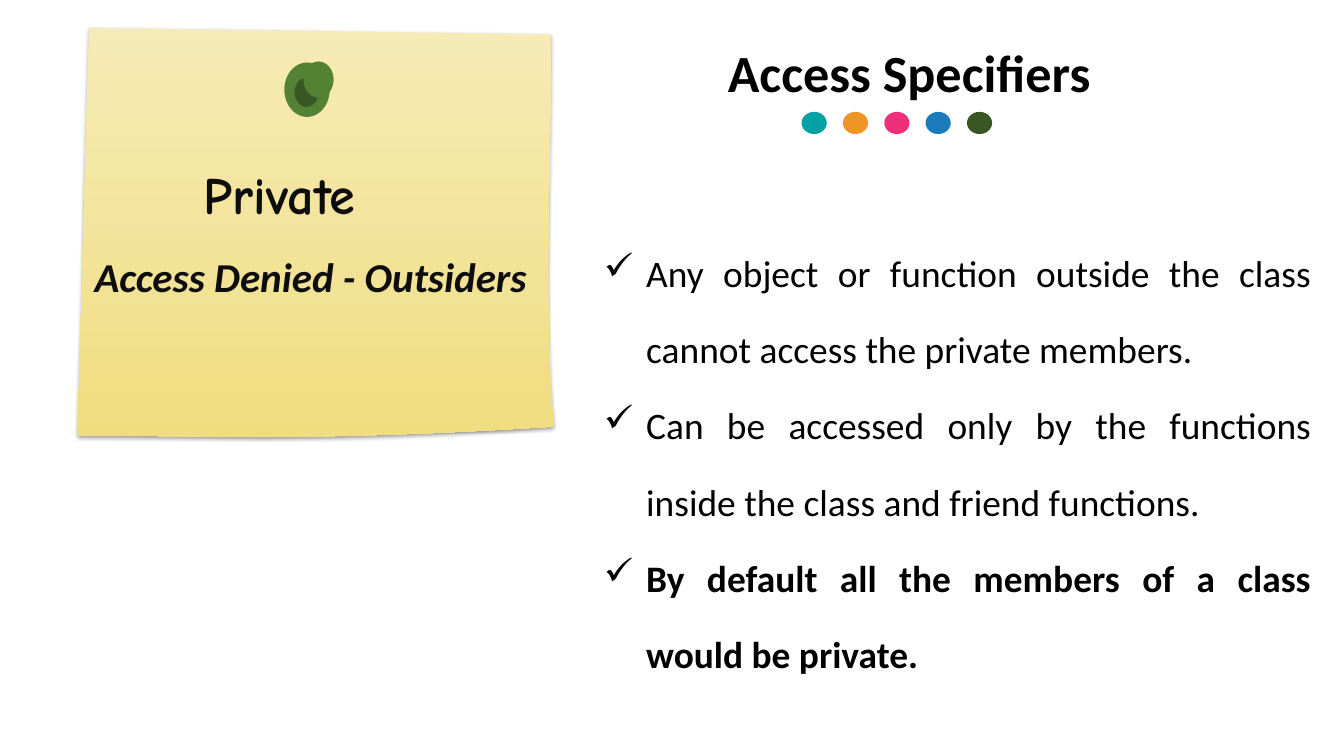
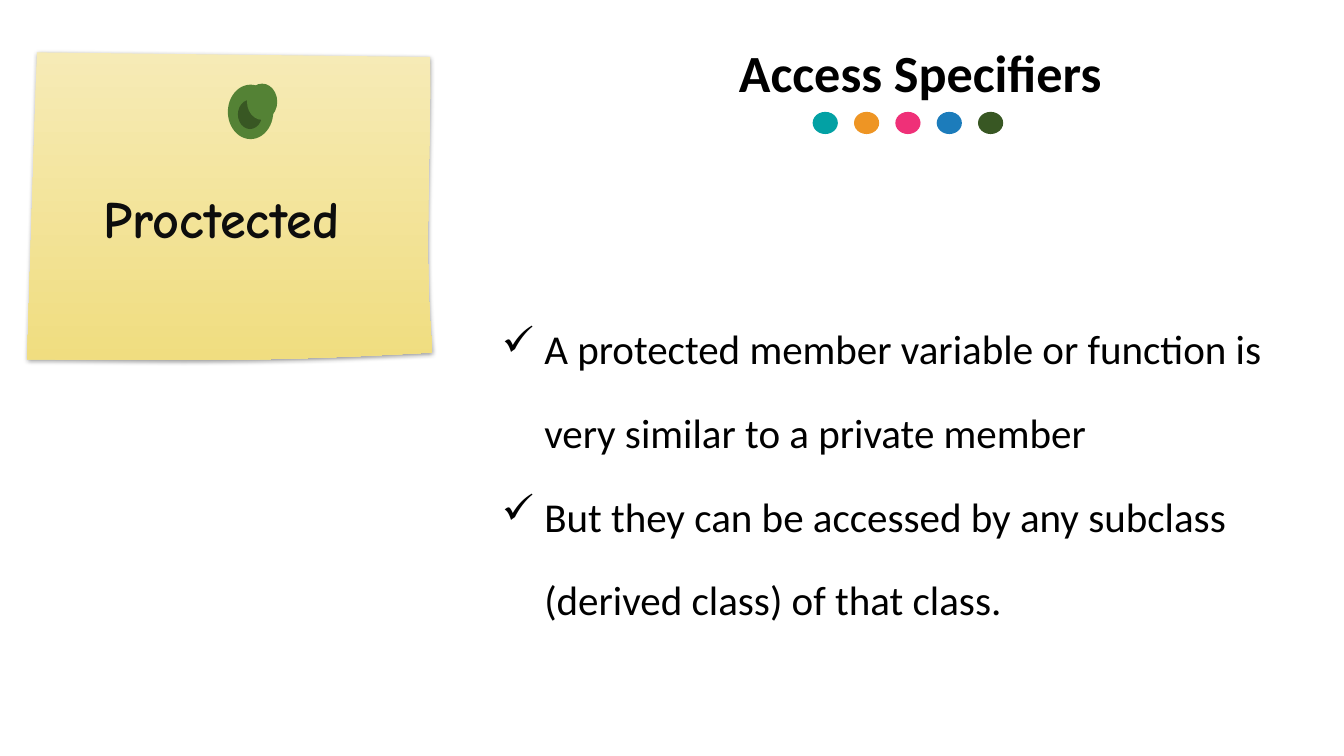
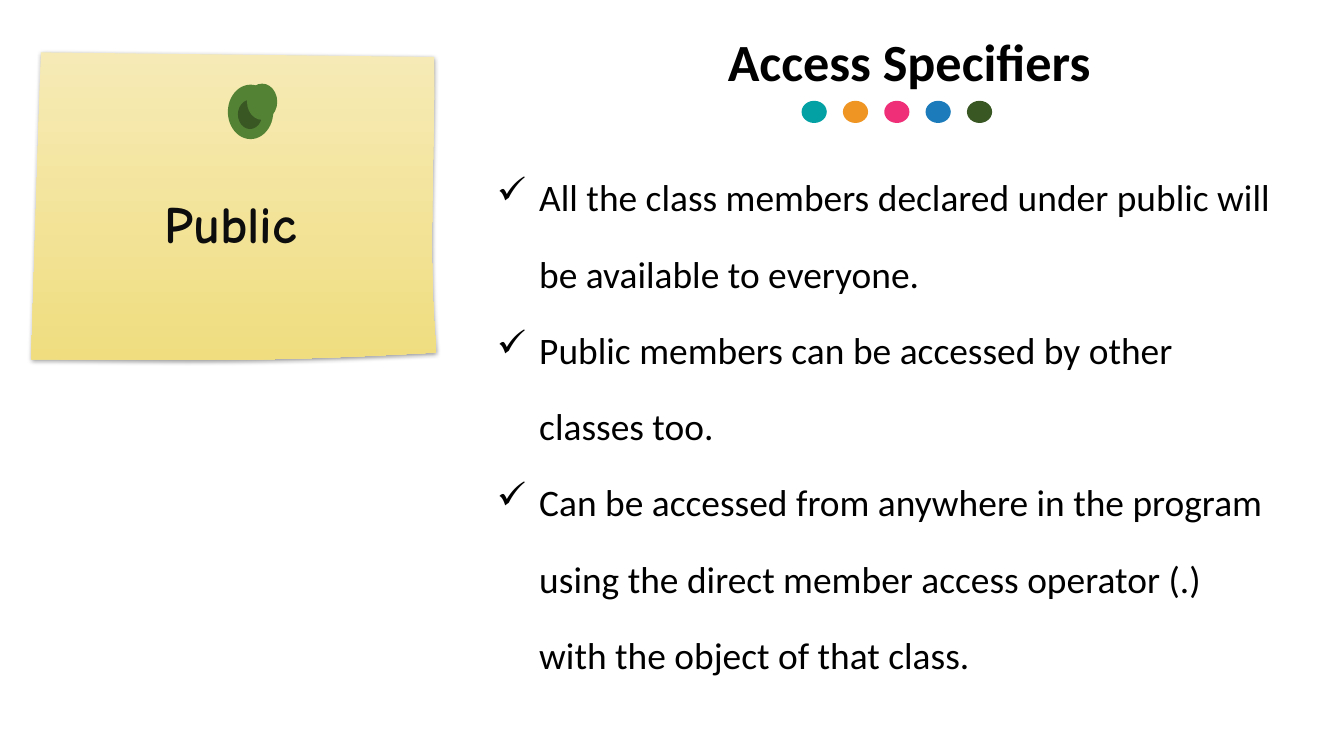
from lxml import etree
from pptx import Presentation
from pptx import util as u
from pptx.dml.color import RGBColor
from pptx.enum import shapes, text
from pptx.oxml.ns import qn

# Shared look
COLORS = {
    "black": "000000", "ink": "0D0D0D",
    "note_top": "F6EBB6", "note_bottom": "F0DD80",
    "pin": "548235", "dark_green": "385723",
    "teal": "03A1A4", "orange": "EE9524", "pink": "EF3078", "blue": "1C7CBB",
}
DOT_COLORS = ["teal", "orange", "pink", "blue", "dark_green"]
BODY_FONT, NOTE_FONT = "Calibri", "Comic Neue"
TITLE_SIZE = 37.3
BULLET_INDENT = 0.42
CURVE_STEPS = 16

# Note outline in percent of its width and height
NOTE_CORNERS = [(2.4, 0), (99.4, 1.5)]
NOTE_CURVES = [
    [(99.4, 1.5), (99.6, 34), (97.7, 68), (100, 97.6)],
    [(100, 97.6), (50.5, 101.2), (33.3, 99.8), (0, 99.8)],
]


def rgb(name):
    return RGBColor.from_string(COLORS[name])


def curve_points(start, control_1, control_2, end):
    """Points along a cubic curve, without its start."""
    points = []
    for step in range(1, CURVE_STEPS + 1):
        t = step / CURVE_STEPS
        weights = ((1 - t) ** 3, 3 * t * (1 - t) ** 2, 3 * t * t * (1 - t), t ** 3)
        corners = (start, control_1, control_2, end)
        points.append(tuple(sum(w * corner[axis] for w, corner in zip(weights, corners))
                            for axis in (0, 1)))
    return points


def add_ellipse(container, left, top, width, height, color):
    shape = container.shapes.add_shape(
        shapes.MSO_SHAPE.OVAL, u.Inches(left), u.Inches(top),
        u.Inches(width), u.Inches(height))
    shape.shadow.inherit = False
    shape.fill.solid()
    shape.fill.fore_color.rgb = rgb(color)
    shape.line.fill.background()


def add_text_box(container, left, top, width, height, middle=False):
    shape = container.shapes.add_textbox(
        u.Inches(left), u.Inches(top), u.Inches(width), u.Inches(height))
    frame = shape.text_frame
    frame.word_wrap = True
    frame.auto_size = text.MSO_AUTO_SIZE.SHAPE_TO_FIT_TEXT
    if middle:
        frame.vertical_anchor = text.MSO_ANCHOR.MIDDLE
    return frame


def add_run(paragraph, words, size, font=BODY_FONT, color="black", bold=False, italic=False):
    run = paragraph.add_run()
    run.text = words
    run.font.name = font
    run.font.size = u.Pt(size)
    run.font.bold = bold
    run.font.italic = italic
    run.font.color.rgb = rgb(color)


def add_soft_shadow(shape):
    shape.shadow.inherit = False
    effects = shape._element.spPr.find(qn("a:effectLst"))
    shadow = etree.SubElement(
        effects, qn("a:outerShdw"), blurRad=str(u.Pt(3)), dist=str(u.Pt(1)),
        dir="5400000", algn="ctr", rotWithShape="0")
    color = etree.SubElement(shadow, qn("a:srgbClr"), val=COLORS["black"])
    etree.SubElement(color, qn("a:alpha"), val="40000")


def add_paper(container, left, top, width, height):
    outline = NOTE_CORNERS + [point for curve in NOTE_CURVES for point in curve_points(*curve)]
    points = [(u.Inches(left + width * x / 100), u.Inches(top + height * y / 100))
              for x, y in outline]
    builder = container.shapes.build_freeform(*points[0])
    builder.add_line_segments(points[1:], close=True)
    paper = builder.convert_to_shape()
    paper.fill.gradient()
    paper.fill.gradient_angle = 270
    for stop, position, color in zip(paper.fill.gradient_stops, (0, 1),
                                     ("note_top", "note_bottom")):
        stop.position = position
        stop.color.rgb = rgb(color)
    paper.line.fill.background()
    add_soft_shadow(paper)


def add_pin(container, left, top):
    add_ellipse(container, left, top, 0.45, 0.54, "pin")
    add_ellipse(container, left + 0.1, top + 0.15, 0.24, 0.29, "dark_green")
    add_ellipse(container, left + 0.19, top - 0.01, 0.3, 0.36, "pin")


def add_note(slide, paper, pin, label, label_box):
    group = slide.shapes.add_group_shape()
    add_paper(group, *paper)
    add_pin(group, *pin)
    frame = add_text_box(group, *label_box, middle=True)
    add_run(frame.paragraphs[0], label, TITLE_SIZE, NOTE_FONT, "ink", bold=True)


def add_title(slide, left, top):
    frame = add_text_box(slide, left, top, 5.3, 0.73)
    paragraph = frame.paragraphs[0]
    paragraph.alignment = text.PP_ALIGN.CENTER
    add_run(paragraph, "Access Specifiers", TITLE_SIZE, bold=True)
    # Row of dots under the title
    group = slide.shapes.add_group_shape()
    for index, color in enumerate(DOT_COLORS):
        add_ellipse(group, left + 1.58 + 0.41 * index, top + 0.76, 0.25, 0.22, color)


def add_checklist(slide, box, size, items, justify=False, bold_last=False):
    frame = add_text_box(slide, *box)
    for index, item in enumerate(items):
        paragraph = frame.add_paragraph() if index else frame.paragraphs[0]
        properties = paragraph._p.get_or_add_pPr()
        properties.set("marL", str(u.Inches(BULLET_INDENT)))
        properties.set("indent", str(-u.Inches(BULLET_INDENT)))
        etree.SubElement(properties, qn("a:buChar"), char="✓")
        paragraph.line_spacing = 1.7
        if justify:
            paragraph.alignment = text.PP_ALIGN.JUSTIFY
        add_run(paragraph, item, size, bold=bold_last and index == len(items) - 1)


def main():
    presentation = Presentation()
    presentation.slide_width = u.Inches(13.33)
    presentation.slide_height = u.Inches(7.5)
    blank = presentation.slide_layouts[6]

    # Private
    slide = presentation.slides.add_slide(blank)
    add_note(slide, (0.77, 0.28, 4.72, 4.05), (2.82, 0.62),
             "Private", (1.92, 1.56, 2.48, 0.73))
    add_checklist(slide, (5.89, 2.12, 7.22, 4.59), 26.7, [
        "Any object or function outside the class cannot access the private members.",
        "Can be accessed only by the functions inside the class and friend functions.",
        "By default all the members of a class would be private.",
    ], justify=True, bold_last=True)
    warning = add_text_box(slide, 0.84, 2.44, 4.64, 0.59, middle=True)
    add_run(warning.paragraphs[0], "Access Denied - Outsiders", 29.3,
            color="ink", bold=True, italic=True)
    add_title(slide, 6.37, 0.35)

    # Protected
    slide = presentation.slides.add_slide(blank)
    add_note(slide, (0.27, 0.52, 4.02, 3.05), (2.26, 0.84),
             "Proctected", (0.93, 1.79, 3.36, 0.73))
    add_checklist(slide, (4.88, 2.82, 7.93, 3.36), 29.3, [
        "A protected member variable or function is very similar to a private member",
        "But they can be accessed by any subclass (derived class) of that class.",
    ])
    add_title(slide, 6.48, 0.35)

    # Public
    slide = presentation.slides.add_slide(blank)
    add_note(slide, (0.31, 0.52, 4.02, 3.05), (2.26, 0.84),
             "Public", (1.53, 1.84, 2.15, 0.73))
    add_checklist(slide, (4.83, 1.37, 7.93, 5.35), 26.7, [
        "All the class members declared under public will be available to everyone.",
        "Public members can be accessed by other classes too.",
        "Can be accessed from anywhere in the program using the direct member access "
        "operator (.) with the object of that class.",
    ])
    add_title(slide, 6.37, 0.24)

    presentation.save("out.pptx")


if __name__ == "__main__":
    main()
